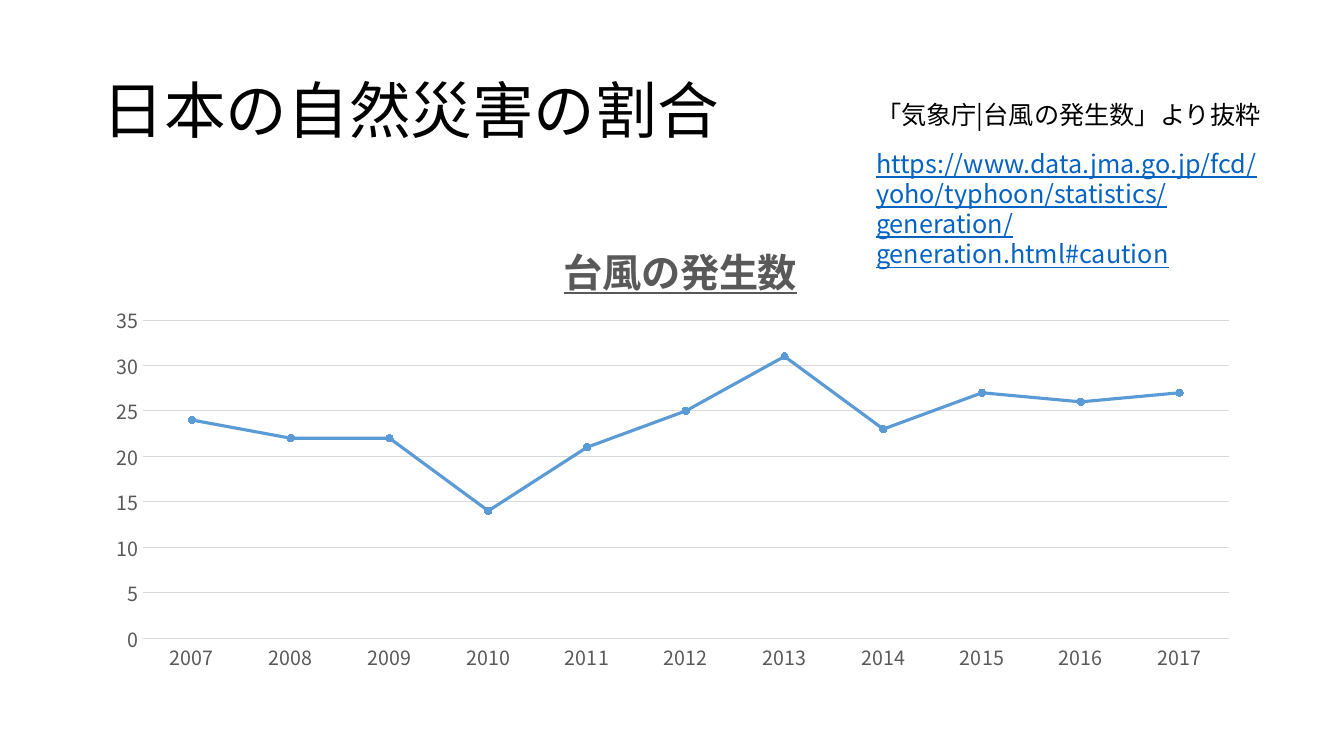
from lxml import etree
from pptx import Presentation
from pptx.chart.data import CategoryChartData
from pptx.dml.color import RGBColor
from pptx.enum.chart import XL_CHART_TYPE, XL_MARKER_STYLE, XL_TICK_MARK
from pptx.enum.text import MSO_ANCHOR
from pptx.oxml import parse_xml
from pptx.oxml.ns import nsdecls, qn
from pptx.util import Inches, Pt

LINE = XL_CHART_TYPE.LINE_MARKERS
DOT = XL_MARKER_STYLE.CIRCLE
NO_TICK = XL_TICK_MARK.NONE
TOP, MIDDLE = MSO_ANCHOR.TOP, MSO_ANCHOR.MIDDLE
FACE = "Noto Sans CJK JP"
HUES = {"ink": "000000", "link": "0563C1", "gray": "595959",
        "grid": "D9D9D9", "line": "5B9BD5"}
HUES = {name: RGBColor.from_string(code) for name, code in HUES.items()}


def style(para, size, hue, under=None):
    """Set the font of a paragraph, for Latin and Japanese text."""
    font = para.font
    font.name, font.size, font.underline = FACE, Pt(size), under
    font.color.rgb = HUES[hue]
    for run in para.runs:
        props = run._r.get_or_add_rPr()
        etree.SubElement(props, qn("a:ea")).set("typeface", FACE)


def layout(**parts):
    """Make a manual chart layout from shares of the chart's size."""
    rows = "".join(f'<c:{key} val="{val}"/>' for key, val in parts.items())
    return parse_xml(f'<c:layout {nsdecls("c")}><c:manualLayout>{rows}'
                     '</c:manualLayout></c:layout>')


deck = Presentation()
deck.slide_width, deck.slide_height = Inches(13.33), Inches(7.5)
slide = deck.slides.add_slide(deck.slide_layouts[6])
left, right = 0.92, 8.59

# Heading and source notes
url = ("https://www.data.jma.go.jp/fcd/yoho/typhoon/statistics/"
       "generation/generation.html#caution")
notes = [
    ("日本の自然災害の割合", left, 0.4, 6.99, 1.45, 44, "ink", None, MIDDLE, 0.9),
    (url, right, 1.42, 4.45, 1.01, 18, "link", True, TOP, Pt(21.5)),
    ("「気象庁|台風の発生数」より抜粋".replace("|", "|"),
     right, 0.94, 4.45, 0.4, 18, "ink", None, TOP, Pt(21.5)),
]
for text, x, y, wide, high, size, hue, under, anchor, gap in notes:
    box = slide.shapes.add_textbox(*map(Inches, (x, y, wide, high)))
    frame = box.text_frame
    frame.word_wrap, frame.vertical_anchor = True, anchor
    para = frame.paragraphs[0]
    para.text, para.line_spacing = text, gap
    style(para, size, hue, under)

# Typhoon chart
data = CategoryChartData()
data.categories = [str(year) for year in range(2007, 2018)]
data.add_series("Series 1", [24, 22, 22, 14, 21, 25, 31, 23, 27, 26, 27])
chart = slide.shapes.add_chart(
    LINE, *map(Inches, (left, 2, 11.5, 4.76)), data).chart
chart.has_legend = False
chart.font.name, chart.font.size = FACE, Pt(10)
chart.font.color.rgb = HUES["ink"]

chart.has_title = True
title = chart.chart_title
para = title.text_frame.paragraphs[0]
para.text = "台風の発生数"
style(para, 28, "gray", True)
title.include_in_layout = False
for old in title._element.findall(qn("c:layout")):
    title._element.remove(old)
title._element.find(qn("c:tx")).addnext(
    layout(xMode="edge", yMode="edge", x=0.4, y=0.06))

plot_area = chart._chartSpace.chart.plotArea
for old in plot_area.findall(qn("c:layout")):
    plot_area.remove(old)
plot_area.insert(0, layout(layoutTarget="inner", xMode="edge", yMode="edge",
                           x=0.043, y=0.247, w=0.937, h=0.663))

years, counts = chart.category_axis, chart.value_axis
for axis in (years, counts):
    axis.major_tick_mark = axis.minor_tick_mark = NO_TICK
    font = axis.tick_labels.font
    font.name, font.size = FACE, Pt(14)
    font.color.rgb = HUES["gray"]
counts.minimum_scale, counts.maximum_scale, counts.major_unit = 0, 35, 5
counts.format.line.fill.background()
counts.has_major_gridlines = True
for rule in (years.format.line, counts.major_gridlines.format.line):
    rule.color.rgb, rule.width = HUES["grid"], Pt(0.75)

chart.plots[0].vary_by_categories = False
series = chart.plots[0].series[0]
series.smooth = False
series.format.line.color.rgb = HUES["line"]
series.format.line.width = Pt(2.25)
mark = series.marker
mark.style, mark.size = DOT, 5
mark.format.fill.solid()
mark.format.fill.fore_color.rgb = HUES["line"]
mark.format.line.color.rgb = HUES["line"]

deck.save("out.pptx")
